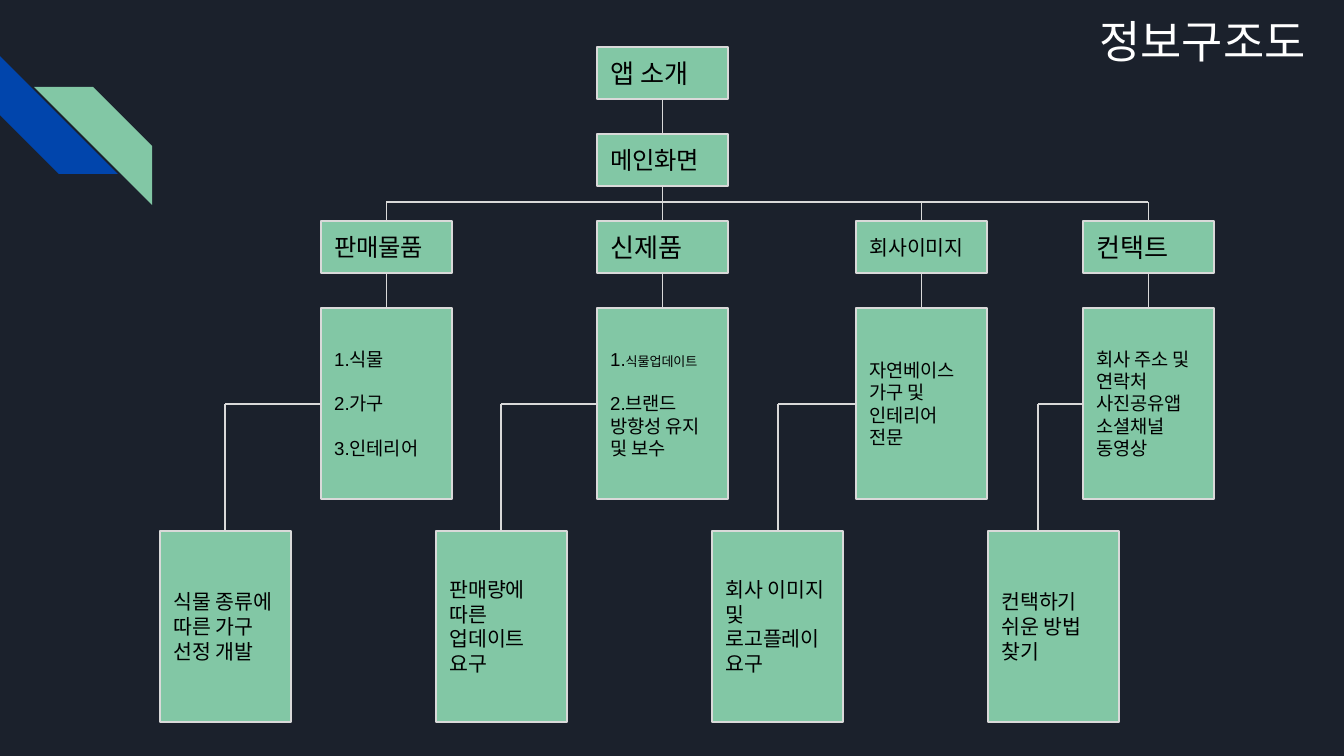
import pptx
import pptx.dml.color
import pptx.enum.shapes
import pptx.enum.text
import pptx.oxml
import pptx.util

SHAPE = pptx.enum.shapes.MSO_SHAPE
ANCHOR = pptx.enum.text.MSO_ANCHOR
ALIGN = pptx.enum.text.PP_ALIGN

PX = 914400 / 134.4
NAVY, GREEN, BLUE, GREY = "1B212C", "82C7A5", "0145AC", "D9D9D9"
BOX_W, HEAD_H, BODY_H = 131, 52, 191
INTRO_Y, MAIN_Y, HEAD_Y, BODY_Y, NEED_Y = 47, 134, 221, 308, 531
BUS_Y, BRANCH_Y = 202, 404
ROOT_X, NEED_X, NEED_STEP = 597, 160, 276

TITLE = "정보구조도"
ROOTS = [("앱 소개", 14, INTRO_Y), ("메인화면", 13, MAIN_Y)]
COLUMNS = [
    dict(x=321, branch_x=225, head="판매물품", size=13,
         body=[[("1.식물", 10)], [("2.가구", 10)], [("3.인테리어", 10)]],
         need="식물 종류에 따른 가구 선정 개발"),
    dict(x=597, branch_x=501, head="신제품", size=14,
         body=[[("1.", 10), ("식물업데이트", 7)], [("2.브랜드 방향성 유지 및 보수", 10)]],
         need="판매량에 따른 업데이트 요구"),
    dict(x=856, branch_x=778, head="회사이미지", size=11,
         body=[[("자연베이스 가구 및 인테리어 전문", 10)]],
         need="회사 이미지 및 로고플레이 요구"),
    dict(x=1083, branch_x=1038, head="컨택트", size=14,
         body=[[("회사 주소 및 연락처 사진공유앱 소셜채널 동영상", 10)]],
         need="컨택하기 쉬운 방법 찾기"),
]
STRIPES = [(0, 56, 270, BLUE), (34, 87, 90, GREEN)]


def px(n):
    return round(n * PX)


def rgb(value):
    return pptx.dml.color.RGBColor.from_string(value)


def write(tf, paragraphs, font="Arial", color="000000", align=ALIGN.LEFT,
          anchor=ANCHOR.MIDDLE, gap=12):
    tf.word_wrap = True
    tf.auto_size = pptx.enum.text.MSO_AUTO_SIZE.NONE
    tf.vertical_anchor = anchor
    tf.margin_left = tf.margin_right = tf.margin_top = tf.margin_bottom = pptx.util.Inches(0.1)
    for i, runs in enumerate(paragraphs):
        p = tf.add_paragraph() if i else tf.paragraphs[0]
        p.alignment = align
        p.space_before = pptx.util.Pt(gap if i else 0)
        for text, size in runs:
            r = p.add_run()
            r.text = text
            r.font.size = pptx.util.Pt(size)
            r.font.name = font
            r.font.color.rgb = rgb(color)


def add_shape(slide, kind, x, y, w, h, fill):
    sp = slide.shapes.add_shape(kind, px(x), px(y), px(w), px(h))
    sp.shadow.inherit = False
    sp.fill.solid()
    sp.fill.fore_color.rgb = rgb(fill)
    sp.line.fill.background()
    return sp


def add_box(slide, x, y, h, paragraphs):
    sp = add_shape(slide, SHAPE.RECTANGLE, x, y, BOX_W, h, GREEN)
    sp.line.color.rgb = rgb(GREY)
    sp.line.width = pptx.util.Pt(0.75)
    write(sp.text_frame, paragraphs)


def add_line(slide, x1, y1, x2, y2):
    line = slide.shapes.add_connector(pptx.enum.shapes.MSO_CONNECTOR.STRAIGHT,
                                      px(x1), px(y1), px(x2), px(y2))
    line.line.color.rgb = rgb(GREY)
    line.line.width = pptx.util.Pt(0.75)
    line._element.spPr.append(pptx.oxml.parse_xml(
        '<a:effectLst xmlns:a="http://schemas.openxmlformats.org/drawingml/2006/main"/>'))


def main():
    prs = pptx.Presentation()
    prs.slide_width, prs.slide_height = px(1344), px(756)
    s = prs.slides.add_slide(prs.slide_layouts[5])
    s.background.fill.solid()
    s.background.fill.fore_color.rgb = rgb(NAVY)

    title = s.shapes.title
    title.left, title.top, title.width, title.height = px(685), px(0), px(1035), px(134)
    write(title.text_frame, [[(TITLE, 24)]], font="Montserrat", color="FFFFFF",
          align=ALIGN.CENTER, anchor=ANCHOR.TOP)

    for x, y, angle, fill in STRIPES:
        stripe = add_shape(s, SHAPE.DIAGONAL_STRIPE, x, y, 118, 118, fill)
        stripe.adjustments[0] = 0.5
        stripe.rotation = angle

    for text, size, y in ROOTS:
        add_box(s, ROOT_X, y, HEAD_H, [[(text, size)]])
    root_mid = ROOT_X + BOX_W / 2
    add_line(s, root_mid, INTRO_Y + HEAD_H, root_mid, MAIN_Y)
    add_line(s, root_mid, MAIN_Y + HEAD_H, root_mid, BUS_Y)
    add_line(s, COLUMNS[0]["x"] + BOX_W / 2, BUS_Y, COLUMNS[-1]["x"] + BOX_W / 2, BUS_Y)

    for i, col in enumerate(COLUMNS):
        x, branch_x = col["x"], col["branch_x"]
        mid = x + BOX_W / 2
        add_box(s, x, HEAD_Y, HEAD_H, [[(col["head"], col["size"])]])
        add_box(s, x, BODY_Y, BODY_H, col["body"])
        add_box(s, NEED_X + i * NEED_STEP, NEED_Y, BODY_H, [[(col["need"], 11)]])
        add_line(s, mid, BUS_Y, mid, HEAD_Y)
        add_line(s, mid, HEAD_Y + HEAD_H, mid, BODY_Y)
        add_line(s, x, BRANCH_Y, branch_x, BRANCH_Y)
        add_line(s, branch_x, NEED_Y, branch_x, BRANCH_Y)

    prs.save("out.pptx")


if __name__ == "__main__":
    main()
